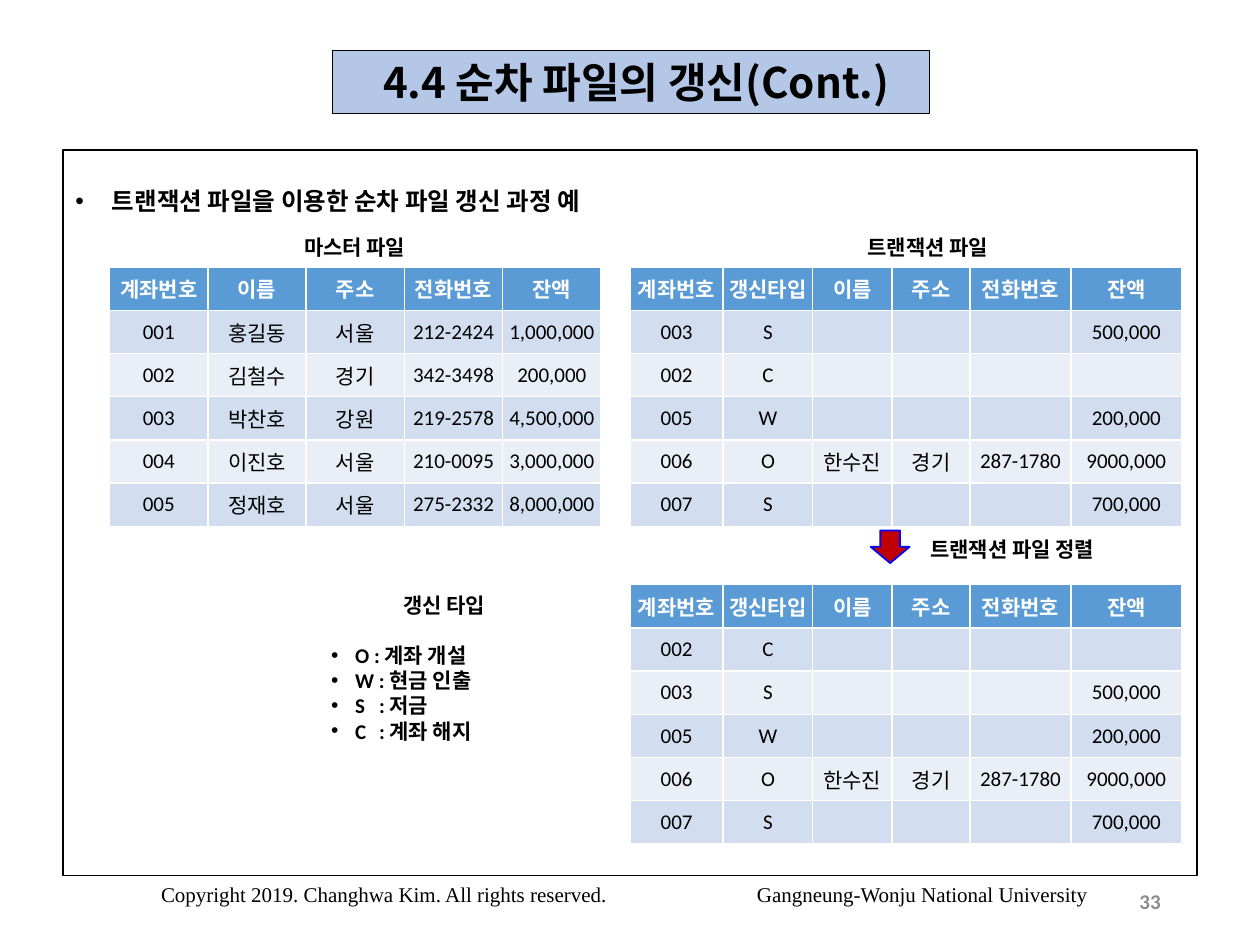
from dataclasses import dataclass

from lxml import etree
from pptx import Presentation
from pptx.dml.color import RGBColor
from pptx.enum.shapes import MSO_SHAPE
from pptx.enum.text import MSO_ANCHOR, PP_ALIGN
from pptx.oxml.ns import qn
from pptx.util import Inches, Pt

RECT, ARROW = MSO_SHAPE.RECTANGLE, MSO_SHAPE.DOWN_ARROW
LEFT, MID, RIGHT = PP_ALIGN.LEFT, PP_ALIGN.CENTER, PP_ALIGN.RIGHT
TOP, CENTER = MSO_ANCHOR.TOP, MSO_ANCHOR.MIDDLE


@dataclass(frozen=True)
class Theme:
    """Colours, fonts and type sizes."""
    black: str = "000000"
    white: str = "FFFFFF"
    grey: str = "8C8C8C"
    title: str = "B4C7E7"
    head: str = "5B9BD5"
    bands: tuple = ("D2DEEF", "EAEFF7")
    red: str = "C00000"
    blue: str = "0000FF"
    sans: str = "Calibri"
    korean: str = "Noto Sans CJK KR"
    serif: str = "Times New Roman"
    big: int = 24
    lead: int = 14
    base: int = 12


THEME = Theme()


def rgb(code):
    """Turn a hex code into a colour."""
    return RGBColor.from_string(code)


def write(para, text, size=THEME.base, font=THEME.sans, color=THEME.black,
          bold=False, align=LEFT, indent=0, tab=0, before=0):
    """Fill a paragraph; an indent gives it a bullet, a tab gives it a stop."""
    para.alignment = align
    if before:
        para.space_before = Pt(before)
    props = para._p.get_or_add_pPr()
    if indent:
        props.set("marL", str(Inches(indent)))
        props.set("indent", str(-Inches(indent)))
        face = etree.SubElement(props, qn("a:buFont"))
        face.set("typeface", "Arial")
        etree.SubElement(props, qn("a:buChar")).set("char", "•")
    if tab:
        stops = etree.SubElement(props, qn("a:tabLst"))
        stop = etree.SubElement(stops, qn("a:tab"))
        stop.set("pos", str(Inches(tab)))
        stop.set("algn", "l")
    run = para.add_run()
    run.text = text
    run.font.size, run.font.name, run.font.bold = Pt(size), font, bold
    run.font.color.rgb = rgb(color)
    east = etree.SubElement(run._r.get_or_add_rPr(), qn("a:ea"))
    east.set("typeface", THEME.korean)


class Page:
    """Draws elements on one slide in one theme."""

    def __init__(self, slide, theme):
        """Keep the slide and its theme."""
        self.shapes, self.theme = slide.shapes, theme

    def shape(self, kind, box, fill=None, line=THEME.black, width=0.75):
        """Add a preset shape and return its text frame."""
        item = self.shapes.add_shape(kind, *map(Inches, box))
        item.shadow.inherit = False
        if fill:
            item.fill.solid()
            item.fill.fore_color.rgb = rgb(fill)
        else:
            item.fill.background()
        item.line.color.rgb = rgb(line)
        item.line.width = Pt(width)
        return item.text_frame

    def text(self, box, text, anchor=TOP, **style):
        """Add a wrapped text box and return its frame."""
        frame = self.shapes.add_textbox(*map(Inches, box)).text_frame
        frame.word_wrap = True
        frame.vertical_anchor = anchor
        write(frame.paragraphs[0], text, **style)
        return frame

    def table(self, left, top, cols, rows, high=0.343):
        """Add a banded table with a header row."""
        look = self.theme
        spot = (left, top, sum(cols), high * len(rows))
        grid = self.shapes.add_table(
            len(rows), len(cols), *map(Inches, spot)).table
        for col, wide in zip(grid.columns, cols):
            col.width = Inches(wide)
        for r, row in enumerate(rows):
            fill = look.bands[(r - 1) % 2] if r else look.head
            ink = look.black if r else look.white
            for c, value in enumerate(row):
                cell = grid.cell(r, c)
                cell.fill.solid()
                cell.fill.fore_color.rgb = rgb(fill)
                cell.vertical_anchor = CENTER
                cell.margin_left = cell.margin_right = 0
                cell.margin_top = cell.margin_bottom = 0
                if value:
                    write(cell.text_frame.paragraphs[0], value, color=ink,
                          bold=r == 0, align=MID)


MASTER = [
    ("계좌번호", "이름", "주소", "전화번호", "잔액"),
    ("001", "홍길동", "서울", "212-2424", "1,000,000"),
    ("002", "김철수", "경기", "342-3498", "200,000"),
    ("003", "박찬호", "강원", "219-2578", "4,500,000"),
    ("004", "이진호", "서울", "210-0095", "3,000,000"),
    ("005", "정재호", "서울", "275-2332", "8,000,000"),
]
HEAD = ("계좌번호", "갱신타입", "이름", "주소", "전화번호", "잔액")
MOVES = [
    ("003", "S", "", "", "", "500,000"),
    ("002", "C", "", "", "", ""),
    ("005", "W", "", "", "", "200,000"),
    ("006", "O", "한수진", "경기", "287-1780", "9000,000"),
    ("007", "S", "", "", "", "700,000"),
]
WIDTHS = (0.74, 0.71, 0.63, 0.62, 0.8, 0.88)
TYPES = ("O : 계좌 개설", "W : 현금 인출", "S\t: 저금", "C\t: 계좌 해지")


def main():
    """Build the slide and save it."""
    deck = Presentation()
    deck.slide_width, deck.slide_height = Inches(10), Inches(7.5)
    page = Page(deck.slides.add_slide(deck.slide_layouts[6]), THEME)

    body = page.shape(RECT, (0.5, 1.19, 9, 5.76))
    body.vertical_anchor = TOP
    body.margin_top = Inches(0.29)
    write(body.paragraphs[0], "트랜잭션 파일을 이용한 순차 파일 갱신 과정 예",
          size=THEME.lead, font=THEME.korean, bold=True, indent=0.29)
    title = page.shape(RECT, (2.64, 0.4, 4.74, 0.5), THEME.title)
    title.word_wrap = False
    title.vertical_anchor = CENTER
    write(title.paragraphs[0], " 4.4 순차 파일의 갱신(Cont.)", size=THEME.big,
          font=THEME.korean, bold=True, align=MID)

    page.table(0.87, 2.12, [0.78] * 5, MASTER)
    page.table(5, 2.12, WIDTHS, [HEAD] + MOVES)
    page.table(5, 4.64, WIDTHS, [HEAD] + sorted(MOVES))
    for left, top, label in ((1.82, 1.81, "마스터 파일"),
                             (6.37, 1.81, "트랜잭션 파일"),
                             (7.04, 4.21, "트랜잭션 파일 정렬")):
        page.text((left, top, 1.99, 0.3), label, bold=True, align=MID)
    page.shape(ARROW, (6.91, 4.21, 0.31, 0.26), THEME.red, THEME.blue, 1)

    types = page.text((2.53, 4.65, 1.99, 1.31), "갱신 타입",
                      bold=True, align=MID)
    for n, kind in enumerate(TYPES):
        write(types.add_paragraph(), kind, bold=True, indent=0.19,
              tab=0.38 if "\t" in kind else 0, before=0 if n else 14.4)

    page.text((1.18, 6.95, 7.64, 0.4),
              "Copyright 2019. Changhwa Kim. All rights reserved.\t"
              "Gangneung-Wonju National University",
              font=THEME.serif, tab=4.73)
    page.text((7.06, 6.95, 2.25, 0.4), "33", anchor=CENTER,
              color=THEME.grey, bold=True, align=RIGHT)
    deck.save("out.pptx")


main()
